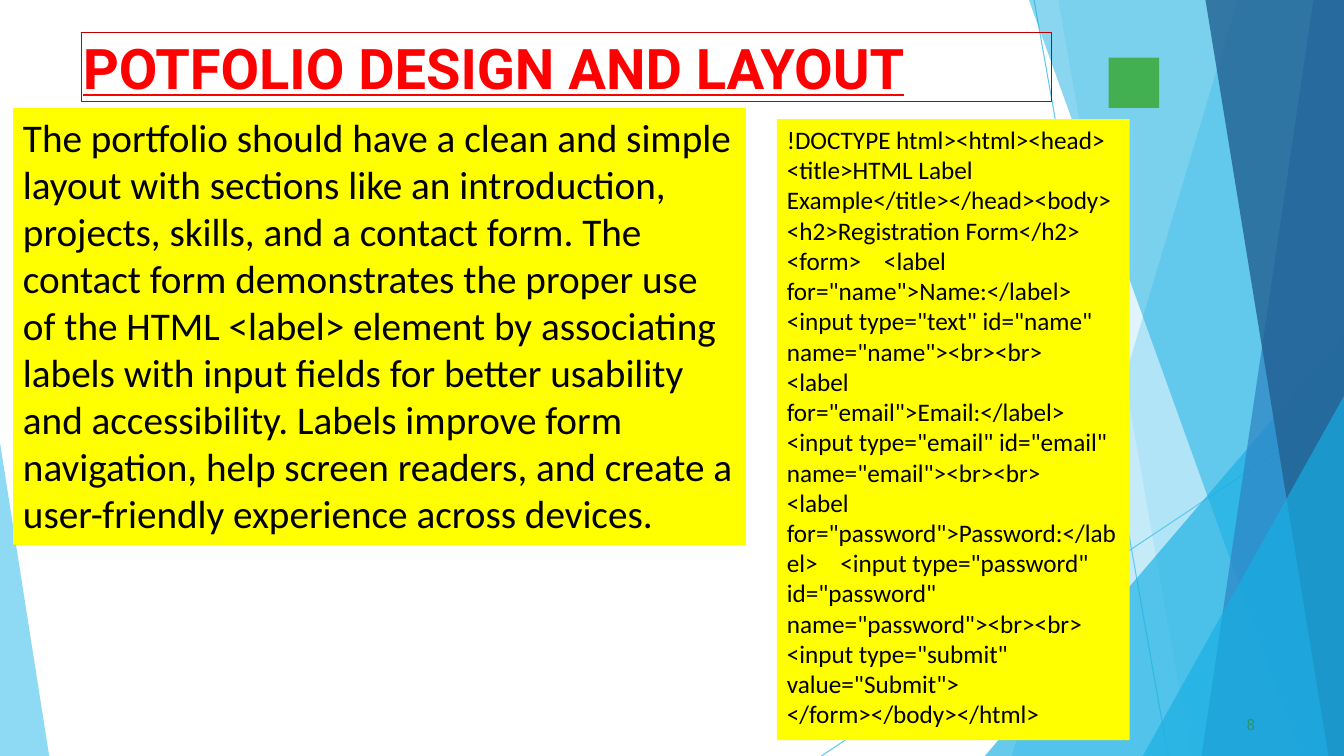
from lxml.etree import SubElement
from pptx import Presentation
from pptx.dml.color import RGBColor
from pptx.enum.shapes import MSO_CONNECTOR, MSO_SHAPE
from pptx.enum.text import MSO_ANCHOR, MSO_AUTO_SIZE, PP_ALIGN
from pptx.oxml.ns import qn
from pptx.util import Cm, Pt

WIDTH, HEIGHT = 33.87, 19.05

TITLE = "POTFOLIO DESIGN AND LAYOUT"
DESCRIPTION = (
    "The portfolio should have a clean and simple layout with sections like an "
    "introduction, projects, skills, and a contact form. The contact form "
    "demonstrates the proper use of the HTML <label> element by associating labels "
    "with input fields for better usability and accessibility. Labels improve form "
    "navigation, help screen readers, and create a user-friendly experience across "
    "devices."
)
CODE = (
    "!DOCTYPE html><html><head>  <title>HTML Label Example</title></head><body>  "
    "<h2>Registration Form</h2>  <form>    "
    '<label for="name">Name:</label>    '
    '<input type="text" id="name" name="name"><br><br>    '
    '<label for="email">Email:</label>    '
    '<input type="email" id="email" name="email"><br><br>    '
    '<label for="password">Password:</label>    '
    '<input type="password" id="password" name="password"><br><br>    '
    '<input type="submit" value="Submit">  </form></body></html>'
)

BODY_FRAME = {
    "margin_left": Cm(0.25), "margin_right": Cm(0.25),
    "margin_top": Cm(0.13), "margin_bottom": Cm(0.13),
}
TIGHT_FRAME = {
    "margin_left": 0, "margin_right": 0, "margin_top": Cm(0.03), "margin_bottom": 0,
}

RAYS = [((26.06, 0), (29.44, HEIGHT)), ((WIDTH, 10.26), (20.7, HEIGHT))]
BOTTOM_RIGHT, TOP_RIGHT = (WIDTH, HEIGHT), (WIDTH, 0)
SHARDS = [
    ("5FCAEE", 36, [TOP_RIGHT, (31.19, 0), (25.5, HEIGHT), BOTTOM_RIGHT]),
    ("5FCAEE", 20, [TOP_RIGHT, (26.67, 0), (30.02, HEIGHT), BOTTOM_RIGHT]),
    ("17AFE3", 66, [(WIDTH, 8.46), (24.82, HEIGHT), BOTTOM_RIGHT]),
    ("17AFE3", 50, [TOP_RIGHT, (25.93, 0), (32.79, HEIGHT), BOTTOM_RIGHT]),
    ("2D83C3", 70, [TOP_RIGHT, (33.1, 0), (30.28, HEIGHT), BOTTOM_RIGHT]),
    ("226192", 80, [TOP_RIGHT, (30.38, 0), (33.48, HEIGHT), BOTTOM_RIGHT]),
    ("17AFE3", 66, [(WIDTH, 9.98), (28.8, HEIGHT), BOTTOM_RIGHT]),
    ("5FCAEE", 70, [(0, 11.15), (0, HEIGHT), (1.24, HEIGHT)]),
]


def color(code):
    return RGBColor.from_string(code)


def apply(target, values):
    for name, value in values.items():
        setattr(target, name, value)


def paint(shape, code):
    shape.shadow.inherit = False
    shape.fill.solid()
    shape.fill.fore_color.rgb = color(code)
    shape.line.fill.background()


def write(shape, text, code, font, frame=BODY_FRAME, before=0, indent=0):
    apply(shape.text_frame, {
        "word_wrap": True, "auto_size": MSO_AUTO_SIZE.NONE,
        "vertical_anchor": MSO_ANCHOR.TOP, **frame,
    })
    para = shape.text_frame.paragraphs[0]
    apply(para, {"alignment": PP_ALIGN.LEFT, "space_before": Pt(before)})
    para._p.get_or_add_pPr().set("marL", str(Cm(indent)))
    span = para.add_run()
    span.text = text
    apply(span.font, font)
    span.font.color.rgb = color(code)


def add_backdrop(page, box):
    left, top, _, _ = box

    def place(point):
        return Cm(left + point[0]), Cm(top + point[1])

    for start, end in RAYS:
        ray = page.shapes.add_connector(
            MSO_CONNECTOR.STRAIGHT, *place(start), *place(end))
        ray.line.color.rgb = color("5FCAEE")
        ray.line.width = Pt(0.75)
        SubElement(ray._element.spPr, qn("a:effectLst"))
    for code, opacity, points in SHARDS:
        corners = [place(point) for point in points]
        builder = page.shapes.build_freeform(*corners[0])
        builder.add_line_segments(corners[1:], close=True)
        shard = builder.convert_to_shape()
        paint(shard, code)
        tint = shard._element.spPr.find(qn("a:solidFill"))[0]
        SubElement(tint, qn("a:alpha")).set("val", str(opacity * 1000))


def add_page_number(page, box):
    number = page.shapes.add_textbox(*map(Cm, box))
    write(number, "8", "2D936B", {"name": "Roboto", "size": Pt(11)},
          TIGHT_FRAME, 0.6, 0.1)


def add_title(page, box):
    title = page.shapes.title
    apply(title, dict(zip(("left", "top", "width", "height"), map(Cm, box))))
    title.line.color.rgb = color("C00000")
    title.line.width = Pt(0.75)
    write(title, TITLE, "FF0000",
          {"name": "Roboto", "size": Pt(40), "bold": True, "underline": True},
          TIGHT_FRAME, 1.1, 0.03)
    title.element.getparent().append(title.element)


def add_block(page, box, code):
    block = page.shapes.add_shape(MSO_SHAPE.RECTANGLE, *map(Cm, box))
    paint(block, code)
    return block


def add_panel(page, box, text, size):
    panel = add_block(page, box, "FFFF00")
    write(panel, text, "000000", {"name": "Calibri", "size": Pt(size)})


def main():
    deck = Presentation()
    apply(deck, {"slide_width": Cm(WIDTH), "slide_height": Cm(HEIGHT)})
    page = deck.slides.add_slide(deck.slide_layouts[5])
    add_backdrop(page, (0, 0, WIDTH, HEIGHT))
    add_page_number(page, (31.32, 17.98, 0.64, 0.53))
    add_title(page, (2.06, 0.81, 24.43, 1.75))
    add_block(page, (27.94, 1.45, 1.27, 1.27), "42AF51")
    add_panel(page, (0.33, 2.72, 18.47, 11.02), DESCRIPTION, 28)
    add_panel(page, (19.58, 3, 8.89, 15.65), CODE, 18)
    deck.save("out.pptx")


if __name__ == "__main__":
    main()
